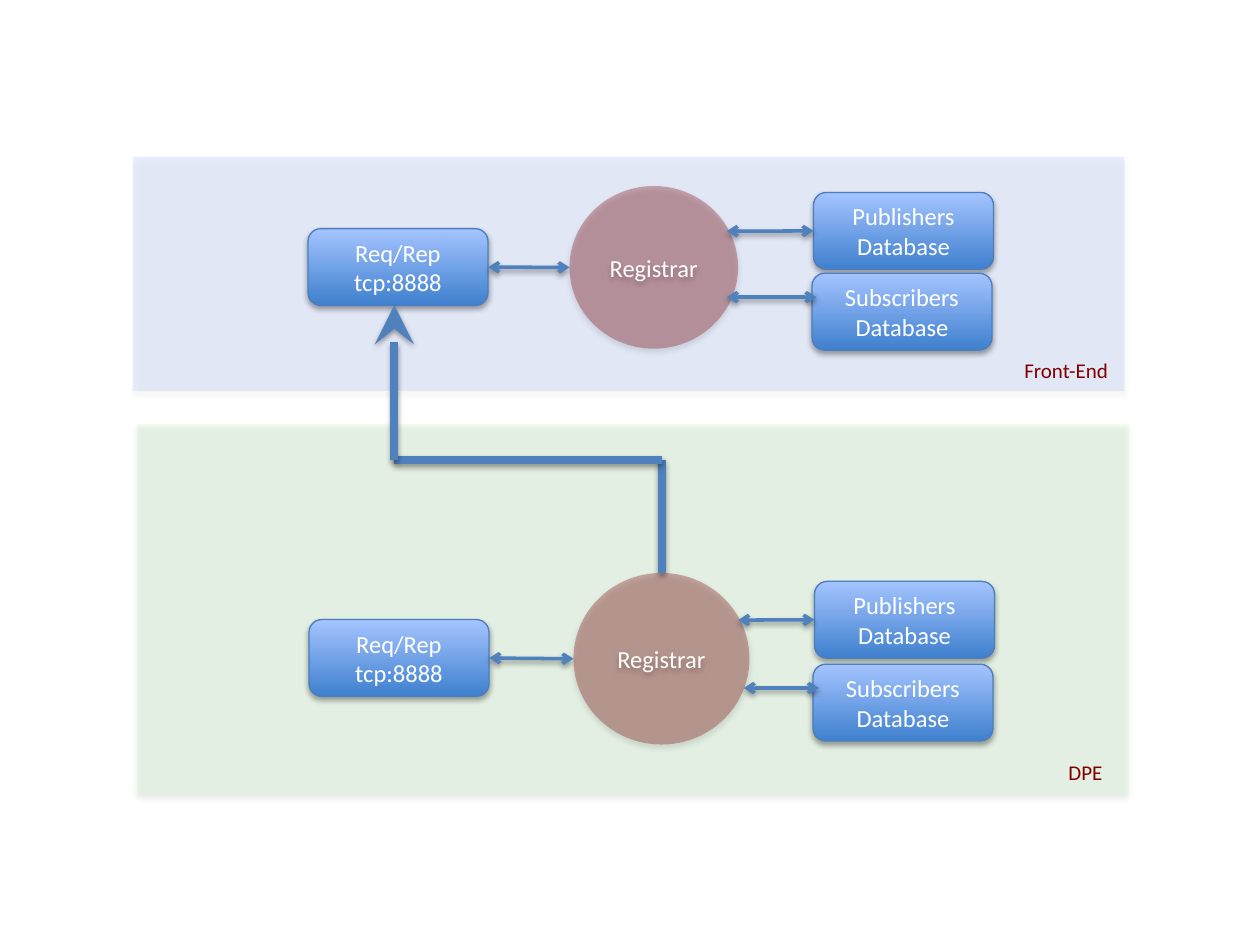
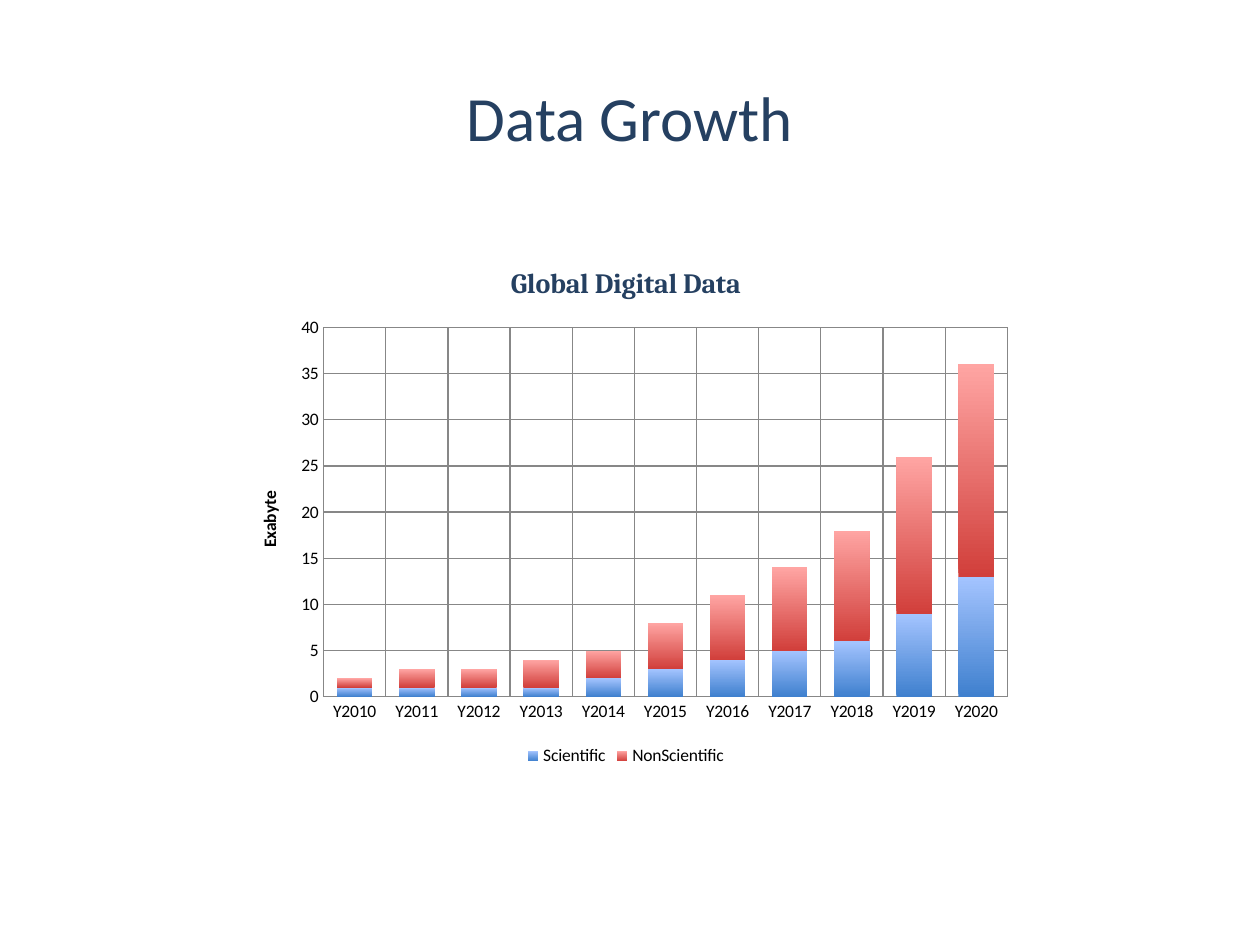
"""Build two slides: a registrar diagram and a chart of data growth."""
from lxml import etree
from pptx import Presentation, util as u
from pptx.chart.data import CategoryChartData
from pptx.dml.color import RGBColor
from pptx.enum import chart as ch, shapes, text
from pptx.oxml.ns import qn

COLORS = {
    "blue": "3366FF", "green": "CCFFCC", "maroon": "800000", "white": "FFFFFF",
    "navy": "254061", "black": "000000", "edge": "4B7EBC", "arrow": "4F81BD",
    "blue_dark": "3F80CE", "blue_light": "A4C4FF",
    "red_dark": "D13F3B", "red_light": "FFA5A3", "grid": "878787",
}
BODY, SERIF = "Calibri", "Cambria"

BANDS = [
    ((2.77, 8.55, 19.99, 7.49), "green", 23),
    ((2.68, 3.16, 19.99, 4.72), "blue", 10),
]
BAND_LABELS = [
    ("DPE", (21.29, 15.18, 1.19, 0.76), False),
    ("Front-End", (20.4, 7.09, 2.36, 0.79), True),
]
BOX_W, BOX_H = 3.63, 1.55
BOX_TEXTS = ["Req/Rep\ntcp:8888", "Publishers\nDatabase", "Subscribers\nDatabase"]
GROUPS = [
    {"boxes": [(6.21, 4.61), (16.4, 3.88), (16.37, 5.51)],
     "registrar": (11.48, 3.75, 3.4, 3.28),
     "arrows": [(9.84, 5.39, 11.48, 5.39), (14.65, 4.66, 16.4, 4.66),
                (14.65, 5.99, 16.46, 5.99)]},
    {"boxes": [(6.23, 12.49), (16.42, 11.72), (16.39, 13.39)],
     "registrar": (11.56, 11.55, 3.55, 3.46),
     "arrows": [(9.86, 13.27, 11.56, 13.28), (14.88, 12.5, 16.42, 12.5),
                (14.99, 13.87, 16.51, 13.87)]},
]
ROUTE = [(13.34, 11.55), (13.34, 9.27), (7.95, 9.27), (7.95, 6.15)]

YEARS = [f"Y{year}" for year in range(2010, 2021)]
SERIES = [
    ("Scientific", [1, 1, 1, 1, 2, 3, 4, 5, 6, 9, 13], "blue"),
    ("NonScientific", [1, 2, 2, 3, 3, 5, 7, 9, 12, 17, 23], "red"),
]
PLOT_AREA = {"x": 0.12, "y": 0.16, "w": 0.86, "h": 0.7}


def rgb(name):
    return RGBColor.from_string(COLORS[name])


def cm(values):
    return [u.Cm(v) for v in values]


def style_font(font, size, color, name=BODY, bold=False):
    font.size, font.name, font.bold = u.Pt(size), name, bold
    font.color.rgb = rgb(color)


def write(tf, content, size=14, color="white", font=BODY, bold=False,
          align=text.PP_ALIGN.CENTER, anchor=None, wrap=True):
    if anchor is not None:
        tf.vertical_anchor, tf.word_wrap = anchor, wrap
    for i, line in enumerate(content.split("\n")):
        p = tf.add_paragraph() if i else tf.paragraphs[0]
        p.alignment = align
        r = p.add_run()
        r.text = line
        style_font(r.font, size, color, font, bold)


def add_shadow(sp, alpha):
    effects = etree.SubElement(sp._element.spPr, qn("a:effectLst"))
    shadow = etree.SubElement(effects, qn("a:outerShdw"), blurRad="40000",
                              dist="23000", dir="5400000", rotWithShape="0")
    color = etree.SubElement(shadow, qn("a:srgbClr"), val=COLORS["black"])
    etree.SubElement(color, qn("a:alpha"), val=str(alpha * 1000))


def fade(fill, hue):
    fill.gradient()
    fill.gradient_angle = 90
    for stop, shade in zip(fill.gradient_stops, ("dark", "light")):
        stop.color.rgb = rgb(f"{hue}_{shade}")


def add_tinted(s, kind, place, color, alpha):
    sp = s.shapes.add_shape(kind, *cm(place))
    sp.fill.solid()
    sp.fill.fore_color.rgb = rgb(color)
    etree.SubElement(sp._element.spPr.find(".//" + qn("a:srgbClr")),
                     qn("a:alpha"), val=str(alpha * 1000))
    sp.line.fill.background()
    add_shadow(sp, 35)
    return sp


def add_box(s, place, content):
    sp = s.shapes.add_shape(shapes.MSO_SHAPE.ROUNDED_RECTANGLE,
                            *cm((*place, BOX_W, BOX_H)))
    fade(sp.fill, "blue")
    sp.line.color.rgb, sp.line.width = rgb("edge"), u.Pt(0.75)
    add_shadow(sp, 35)
    write(sp.text_frame, content, anchor=text.MSO_ANCHOR.MIDDLE)
    return sp


def add_line(s, ends, width, head=None, tail=None, size="med", start=None, stop=None):
    line = s.shapes.add_connector(shapes.MSO_CONNECTOR.STRAIGHT, *cm(ends))
    line.line.color.rgb, line.line.width = rgb("arrow"), u.Pt(width)
    ln = line._element.spPr.find(qn("a:ln"))
    for tag, kind in (("a:headEnd", head), ("a:tailEnd", tail)):
        if kind:
            etree.SubElement(ln, qn(tag), type=kind, w=size, len=size)
    add_shadow(line, 38)
    if start:
        line.begin_connect(*start)
    if stop:
        line.end_connect(*stop)


def add_group(s, group):
    request, publishers, _ = [add_box(s, place, content) for place, content
                              in zip(group["boxes"], BOX_TEXTS)]
    registrar = add_tinted(s, shapes.MSO_SHAPE.OVAL, group["registrar"], "maroon", 30)
    write(registrar.text_frame, "Registrar", anchor=text.MSO_ANCHOR.MIDDLE)
    joins = [{"start": (request, 3)}, {"stop": (publishers, 1)}, {}]
    for ends, join in zip(group["arrows"], joins):
        add_line(s, ends, 2, "arrow", "arrow", **join)


def build_diagram(s):
    for place, color, alpha in BANDS:
        add_tinted(s, shapes.MSO_SHAPE.RECTANGLE, place, color, alpha)
    for content, place, wrap in BAND_LABELS:
        tf = s.shapes.add_textbox(*cm(place)).text_frame
        write(tf, content, size=12, color="maroon", align=text.PP_ALIGN.LEFT,
              anchor=text.MSO_ANCHOR.TOP, wrap=wrap)
    for group in GROUPS:
        add_group(s, group)
    for a, b in zip(ROUTE, ROUTE[1:]):
        add_line(s, (*a, *b), 4.5, tail="stealth" if b == ROUTE[-1] else None,
                 size="lg")


def place_plot(chart):
    area = chart._chartSpace.find(".//" + qn("c:plotArea"))
    for old in area.findall(qn("c:layout")):
        area.remove(old)
    layout = etree.Element(qn("c:layout"))
    area.insert(0, layout)
    manual = etree.SubElement(layout, qn("c:manualLayout"))
    settings = {"layoutTarget": "inner", "xMode": "edge", "yMode": "edge", **PLOT_AREA}
    for tag, val in settings.items():
        etree.SubElement(manual, qn(f"c:{tag}"), val=str(val))


def build_growth(s):
    tf = s.shapes.add_textbox(*cm((1.27, 0.76, 22.86, 3.18))).text_frame
    write(tf, "Data Growth", size=36, color="navy", anchor=text.MSO_ANCHOR.MIDDLE)

    data = CategoryChartData()
    data.categories = YEARS
    for name, values, _ in SERIES:
        data.add_series(name, values)
    chart = s.shapes.add_chart(ch.XL_CHART_TYPE.COLUMN_STACKED,
                               *cm((4.6, 4.9, 16.03, 10.64)), data).chart
    style_font(chart.font, 10, "black")
    chart.has_title = True
    write(chart.chart_title.text_frame, "Global Digital Data", size=16,
          color="navy", font=SERIF, bold=True)
    chart.chart_title.include_in_layout = False
    chart.has_legend = True
    chart.legend.position = ch.XL_LEGEND_POSITION.BOTTOM
    chart.legend.include_in_layout = False
    place_plot(chart)

    plot = chart.plots[0]
    plot.gap_width, plot.overlap, plot.vary_by_categories = 75, 100, False
    for series, (_, _, hue) in zip(plot.series, SERIES):
        fade(series.format.fill, hue)

    for axis in (chart.category_axis, chart.value_axis):
        axis.has_major_gridlines = True
        axis.major_tick_mark = axis.minor_tick_mark = ch.XL_TICK_MARK.NONE
        for line in (axis.format.line, axis.major_gridlines.format.line):
            line.color.rgb, line.width = rgb("grid"), u.Pt(0.75)
    value = chart.value_axis
    value.format.line.fill.background()
    value.minimum_scale, value.maximum_scale, value.major_unit = 0, 40, 5
    value.has_title = True
    tf = value.axis_title.text_frame
    write(tf, "Exabyte", size=10, color="black", bold=True)
    tf._txBody.bodyPr.set("rot", "-5400000")
    tf._txBody.bodyPr.set("vert", "horz")


def main():
    prs = Presentation()
    prs.slide_width, prs.slide_height = cm((25.4, 19.05))
    for build in (build_diagram, build_growth):
        build(prs.slides.add_slide(prs.slide_layouts[6]))
    prs.save("out.pptx")


if __name__ == "__main__":
    main()
